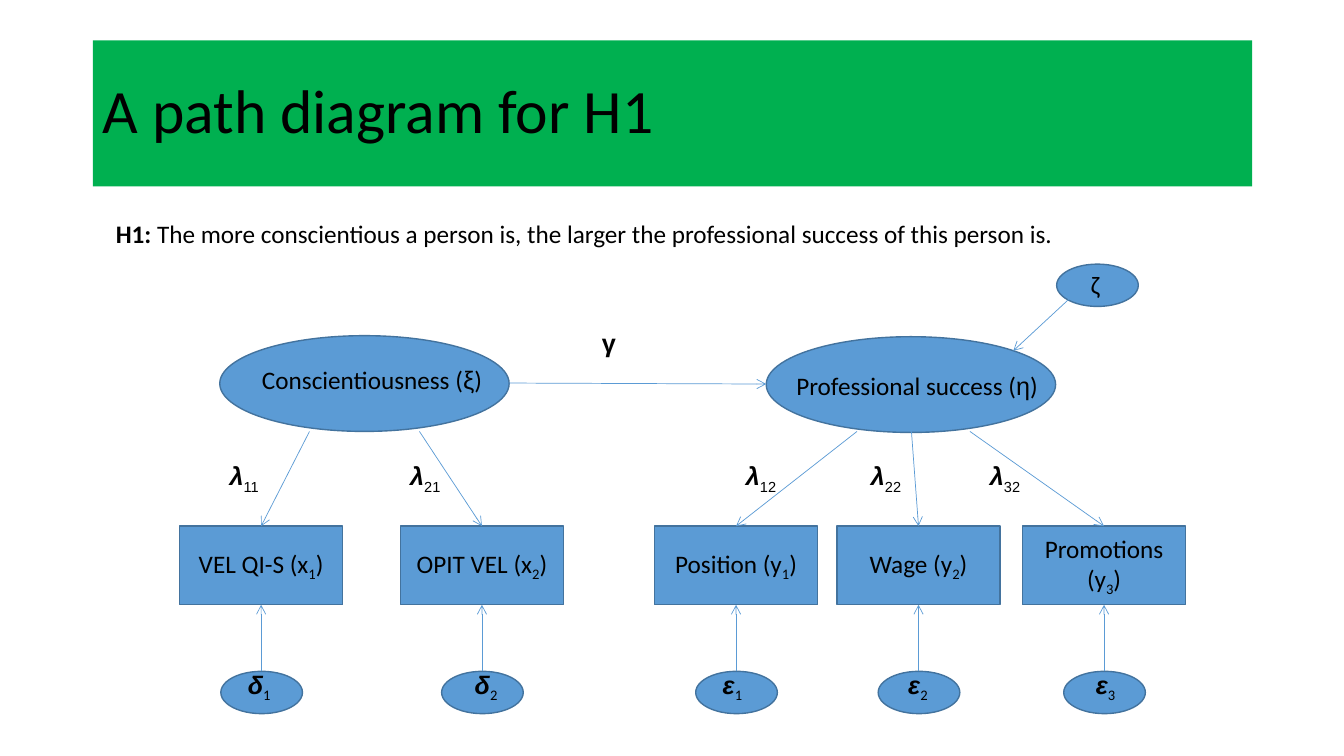
from dataclasses import dataclass

from lxml import etree
from pptx import Presentation
from pptx.dml.color import RGBColor
from pptx.enum.shapes import MSO_CONNECTOR, MSO_SHAPE
from pptx.enum.text import MSO_ANCHOR, MSO_AUTO_SIZE, PP_ALIGN
from pptx.oxml.ns import qn
from pptx.shapes.autoshape import Shape
from pptx.slide import Slide
from pptx.text.text import TextFrame
from pptx.util import Emu, Pt

PX = 9144  # one px is a hundredth of an inch
GREEN = RGBColor(0x00, 0xB0, 0x50)
BLUE = RGBColor(0x5B, 0x9B, 0xD5)
DARK_BLUE = RGBColor(0x43, 0x73, 0x9E)
BLACK = RGBColor(0x00, 0x00, 0x00)
CALIBRI, ARIAL = "Calibri", "Arial"
ELLIPSE, RECTANGLE = MSO_SHAPE.OVAL, MSO_SHAPE.RECTANGLE
STRAIGHT = MSO_CONNECTOR.STRAIGHT
LEFT, CENTER = PP_ALIGN.LEFT, PP_ALIGN.CENTER
TOP, MIDDLE = MSO_ANCHOR.TOP, MSO_ANCHOR.MIDDLE
NO_AUTOFIT = MSO_AUTO_SIZE.NONE
TITLE_ONLY = 5

LATENT_SIZE = (287, 95)
ERROR_SIZE = (81, 42)
INDICATOR_SIZE = (162, 78)
LOADING_START, INDICATOR_TOP, ERROR_TOP = 428, 522, 666
LOADING_LABEL_TOP, ERROR_LABEL_TOP = 452, 659


@dataclass(frozen=True)
class Piece:
    text: str
    font: str = CALIBRI
    bold: bool = False
    italic: bool = False
    subscript: bool = False
    size: int = 18


@dataclass(frozen=True)
class Latent:
    left: int
    top: int
    name: str
    symbol: str
    label_box: tuple[int, int, int, int]


@dataclass(frozen=True)
class Indicator:
    left: int
    name: str
    variable: str
    number: str
    loading: str
    loading_left: int
    loading_start: int
    error: str
    error_left: int


LATENTS = [
    Latent(218, 333, "Conscientiousness", "ξ", (250, 357, 242, 40)),
    Latent(760, 334, "Professional success", "η", (780, 362, 266, 40)),
]
INDICATORS = [
    Indicator(178, "VEL QI-S", "x", "1", "11", 218, 307, "δ", 236),
    Indicator(397, "OPIT VEL", "x", "2", "21", 397, 416, "δ", 461),
    Indicator(649, "Position", "y", "1", "12", 730, 850, "ε", 707),
    Indicator(830, "Wage", "y", "2", "22", 854, 904, "ε", 891),
    Indicator(1014, "Promotions", "y", "3", "32", 972, 962, "ε", 1077),
]


def px(*lengths: int) -> list[Emu]:
    return [Emu(length * PX) for length in lengths]


def write(frame: TextFrame, pieces: list[Piece], align: PP_ALIGN = LEFT,
          anchor: MSO_ANCHOR = TOP) -> None:
    frame.word_wrap = True
    frame.auto_size = NO_AUTOFIT
    frame.vertical_anchor = anchor
    para = frame.paragraphs[0]
    para.alignment = align
    for piece in pieces:
        span = para.add_run()
        span.text = piece.text
        font = span.font
        font.name, font.size = piece.font, Pt(piece.size)
        font.bold, font.italic = piece.bold, piece.italic
        font.color.rgb = BLACK
        if piece.subscript:
            span.font._element.set("baseline", "-25000")


def add_label(page: Slide, bounds: tuple[int, int, int, int], *pieces: Piece) -> None:
    box = page.shapes.add_textbox(*px(*bounds))
    write(box.text_frame, list(pieces))


def add_node(page: Slide, kind: MSO_SHAPE, left: int, top: int,
             size: tuple[int, int]) -> Shape:
    node = page.shapes.add_shape(kind, *px(left, top, *size))
    node.shadow.inherit = False
    node.fill.solid()
    node.fill.fore_color.rgb = BLUE
    node.line.color.rgb = DARK_BLUE
    node.line.width = Pt(1)
    return node


def add_arrow(page: Slide, start: tuple[int, int], end: tuple[int, int]) -> None:
    arrow = page.shapes.add_connector(STRAIGHT, *px(*start, *end))
    arrow.line.color.rgb = BLUE
    arrow.line.width = Pt(0.5)
    etree.SubElement(arrow.line._get_or_add_ln(), qn("a:tailEnd"), type="arrow")
    etree.SubElement(arrow._element.spPr, qn("a:effectLst"))


def add_title(page: Slide) -> None:
    title = page.shapes.title
    title.left, title.top, title.width, title.height = px(92, 40, 1150, 145)
    title.fill.solid()
    title.fill.fore_color.rgb = GREEN
    write(title.text_frame, [Piece("A path diagram for H1", size=44)], anchor=MIDDLE)
    title.text_frame.paragraphs[0].line_spacing = 0.9


def add_latent(page: Slide, latent: Latent) -> None:
    add_node(page, ELLIPSE, latent.left, latent.top, LATENT_SIZE)
    add_label(page, latent.label_box, Piece(f"{latent.name} ("),
              Piece(latent.symbol, ARIAL), Piece(")"))


def add_indicator(page: Slide, item: Indicator) -> None:
    """Draw the indicator with its loading above and its error term below."""
    width, height = INDICATOR_SIZE
    center = item.left + width // 2
    bottom = INDICATOR_TOP + height
    box = add_node(page, RECTANGLE, item.left, INDICATOR_TOP, INDICATOR_SIZE)
    write(box.text_frame,
          [Piece(f"{item.name} ({item.variable}"),
           Piece(item.number, subscript=True), Piece(")")], CENTER, MIDDLE)

    add_arrow(page, (item.loading_start, LOADING_START), (center, INDICATOR_TOP))
    add_label(page, (item.loading_left, LOADING_LABEL_TOP, 60, 40),
              Piece("λ", ARIAL, bold=True, italic=True),
              Piece(item.loading, ARIAL, subscript=True))

    add_node(page, ELLIPSE, center - ERROR_SIZE[0] // 2, ERROR_TOP, ERROR_SIZE)
    add_arrow(page, (center, ERROR_TOP), (center, bottom))
    add_label(page, (item.error_left, ERROR_LABEL_TOP, 57, 40),
              Piece(item.error, ARIAL, bold=True, italic=True),
              Piece(item.number, subscript=True))


def main() -> None:
    deck = Presentation()
    deck.slide_width, deck.slide_height = px(1333, 750)
    page = deck.slides.add_slide(deck.slide_layouts[TITLE_ONLY])

    add_title(page)
    add_label(page, (105, 212, 1097, 71), Piece("H1: ", bold=True),
              Piece("The more conscientious a person is, the larger the "
                    "professional success of this person is."))
    for latent in LATENTS:
        add_latent(page, latent)
    add_arrow(page, (505, 380), (760, 381))
    add_label(page, (587, 320, 41, 40), Piece("γ", ARIAL, bold=True))

    add_node(page, ELLIPSE, 1048, 262, ERROR_SIZE)
    add_arrow(page, (1060, 297), (1005, 348))
    add_label(page, (1072, 262, 35, 40), Piece("ζ"))

    for item in INDICATORS:
        add_indicator(page, item)
    deck.save("out.pptx")


if __name__ == "__main__":
    main()
